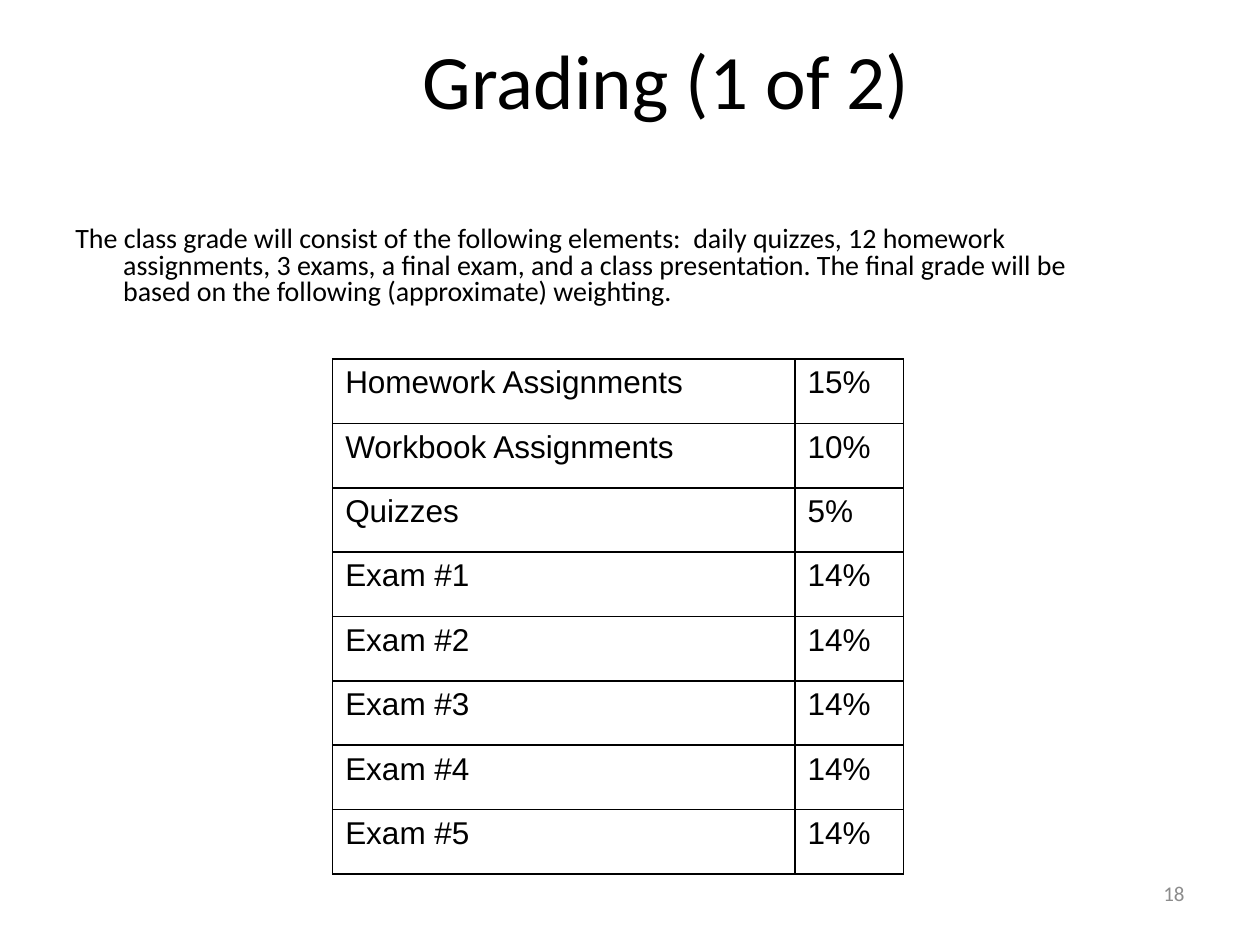
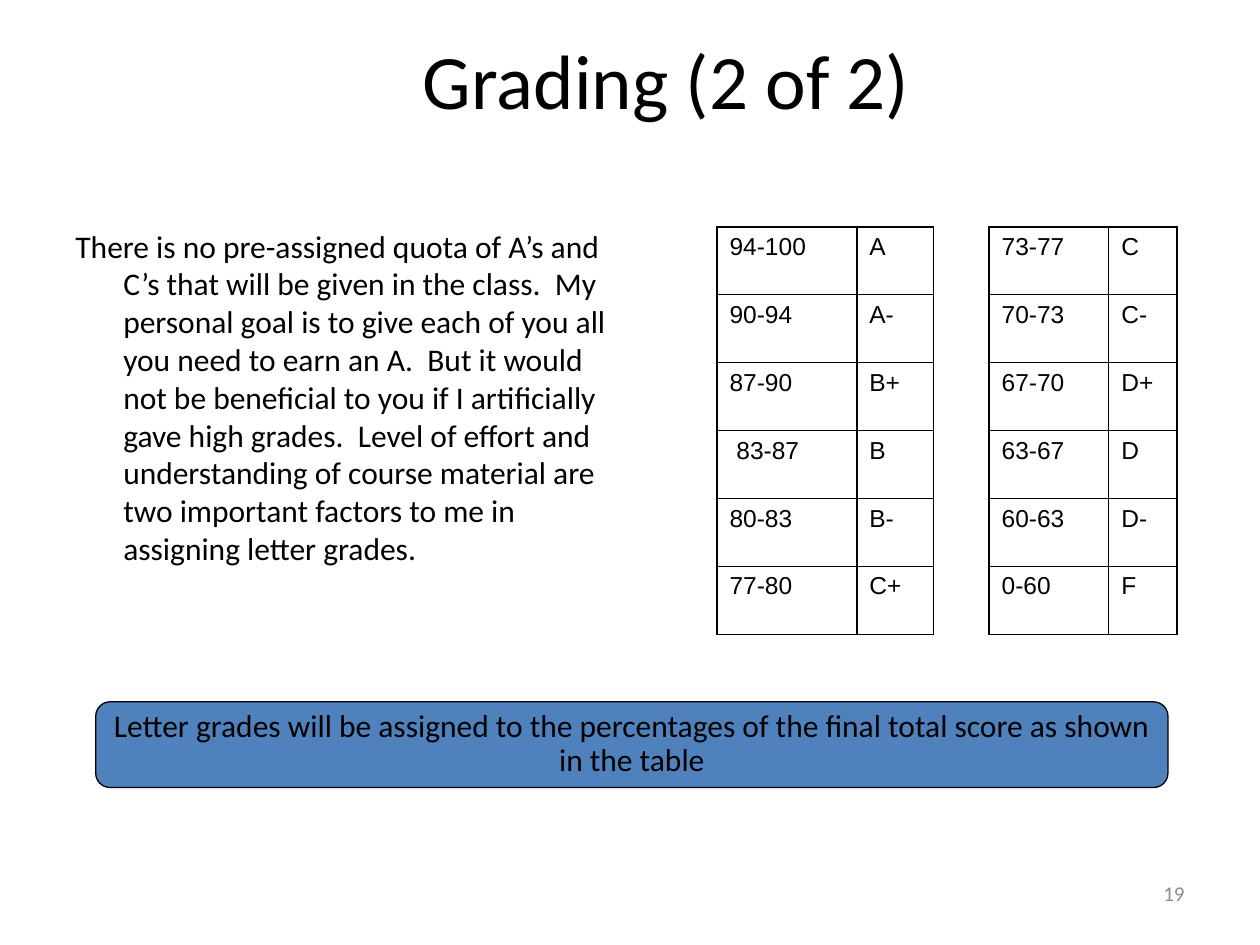
from itertools import product
from lxml import etree
from pptx import Presentation
from pptx.dml.color import RGBColor
from pptx.enum.shapes import MSO_SHAPE
from pptx.enum.text import MSO_ANCHOR, MSO_AUTO_SIZE, PP_ALIGN
from pptx.oxml.ns import qn
from pptx.util import Inches, Pt

LEFT, MID, RIGHT, JUST = PP_ALIGN.LEFT, PP_ALIGN.CENTER, PP_ALIGN.RIGHT, PP_ALIGN.JUSTIFY
TOP, CORE = MSO_ANCHOR.TOP, MSO_ANCHOR.MIDDLE
ROUND = MSO_SHAPE.ROUNDED_RECTANGLE
FIXED = MSO_AUTO_SIZE.NONE
BLACK = RGBColor(0x00, 0x00, 0x00)
GREY = RGBColor(0x8C, 0x8C, 0x8C)
BLUE = RGBColor(0x4F, 0x81, 0xBD)
HEAD, CELL = "Calibri", "Arial"
PLAIN = "{2D5ABB26-0587-4C30-8999-92F81FD0307C}"
TITLE_ONLY = 5
STEP = Inches(0.1)
HANG = Inches(0.38)

WEIGHTS = [
    ("Homework Assignments", "15%"),
    ("Workbook Assignments", "10%"),
    ("Quizzes", "5%"),
] + [(f"Exam #{num}", "14%") for num in range(1, 6)]

SCALE = [
    ("94-100", "A", None, "73-77", "C"),
    ("90-94 ", "A-", None, "70-73", "C-"),
    ("87-90", "B+", None, "67-70", "D+"),
    (" 83-87 ", "B", None, "63-67", "D"),
    ("80-83 ", "B-", None, "60-63", "D-"),
    ("77-80", "C+", None, "0-60 ", "F "),
]


def grid(*units):
    return [round(unit * STEP) for unit in units]


def apply(item, values):
    for name, value in values.items():
        setattr(item, name, value)


class Deck:
    def __init__(self):
        self.file = Presentation()
        self.file.slide_width, self.file.slide_height = grid(100, 75)
        self.slide = None

    def page(self, title, num):
        layout = self.file.slide_layouts[TITLE_ONLY]
        self.slide = self.file.slides.add_slide(layout)
        head = self.slide.shapes.title
        names = ("left", "top", "width", "height")
        apply(head, dict(zip(names, grid(17.5, 0, 70.8, 12.5))))
        self.fit(head.text_frame, title, 44, align=MID, anchor=CORE)
        self.text(num, (71.7, 68.3, 23.3, 5.2), 12, color=GREY, align=RIGHT, anchor=CORE)

    def fit(self, frame, words, size, font=HEAD, color=BLACK, align=LEFT,
            anchor=TOP, hang=False, **para):
        apply(frame, {"word_wrap": True, "auto_size": FIXED, "vertical_anchor": anchor})
        self.line(frame.paragraphs[0], words, size, font, color, align, hang, **para)

    def line(self, part, words, size, font, color, align, hang, **para):
        run = part.add_run()
        run.text = words
        apply(run.font, {"size": Pt(size), "name": font})
        run.font.color.rgb = color
        apply(part, {"alignment": align, **para})
        if hang:
            props = part._p.get_or_add_pPr()
            props.set("marL", str(HANG))
            props.set("indent", str(-HANG))

    def text(self, words, area, size, **style):
        box = self.slide.shapes.add_textbox(*grid(*area))
        self.fit(box.text_frame, words, size, **style)

    def badge(self, words, area, size, **style):
        box = self.slide.shapes.add_shape(ROUND, *grid(*area))
        box.shadow.inherit = False
        box.fill.solid()
        box.fill.fore_color.rgb = BLUE
        box.line.color.rgb = BLACK
        box.line.width = Pt(0.75)
        self.fit(box.text_frame, words, size, align=MID, anchor=CORE, **style)

    def edges(self, cell, sides):
        props = cell._tc.get_or_add_tcPr()
        for side in sides:
            edge = etree.SubElement(props, qn(f"a:ln{side}"), w=str(Pt(1)))
            fill = etree.SubElement(edge, qn("a:solidFill"))
            etree.SubElement(fill, qn("a:srgbClr"), val=str(BLACK))

    def table(self, rows, spot, cols, tall, size, align):
        area = grid(*spot, sum(cols), tall * len(rows))
        table = self.slide.shapes.add_table(len(rows), len(cols), *area).table
        apply(table, {"first_row": False, "horz_banding": False})
        table._tbl.tblPr.find(qn("a:tableStyleId")).text = PLAIN
        for col, wide in zip(table.columns, grid(*cols)):
            col.width = wide
        for row, col in product(range(len(rows)), range(len(cols))):
            cell, words = table.cell(row, col), rows[row][col]
            self.edges(cell, "LRTB" if words else "LR")
            cell.fill.background()
            if words:
                part = cell.text_frame.paragraphs[0]
                self.line(part, words, size, CELL, BLACK, align, True)


def main():
    deck = Deck()
    deck.page("Grading (1 of 2)", "18")
    deck.text(
        "The class grade will consist of the following elements:  daily quizzes, "
        "12 homework assignments, 3 exams, a final exam, and a class presentation. "
        "The final grade will be based on the following (approximate) weighting.",
        (5, 17.5, 82.4, 49.5), 16, hang=True, line_spacing=0.8, space_before=Pt(3.2))
    deck.table(WEIGHTS, (26.4, 28.5), (36.7, 8.6), 5.11, 18, LEFT)

    deck.page("Grading (2 of 2)", "19")
    deck.text(
        "There is no pre-assigned quota of A’s and C’s that will be given in the class.  "
        "My personal goal is to give each of you all you need to earn an A.  But it would "
        "not be beneficial to you if I artificially gave high grades.  Level of effort and "
        "understanding of course material are two important factors to me in assigning "
        "letter grades.",
        (5, 17.5, 44.2, 33), 18, hang=True, space_before=Pt(3.6))
    deck.table(SCALE, (56.9, 18), (11.1, 6.1, 4.4, 9.5, 5.4), 5.39, 14, JUST)
    deck.badge(
        "Letter grades will be assigned to the percentages of the final total score "
        "as shown in the table",
        (7.6, 55.7, 85.1, 6.8), 18, line_spacing=0.9, space_before=Pt(3.6))
    deck.file.save("out.pptx")


if __name__ == "__main__":
    main()
